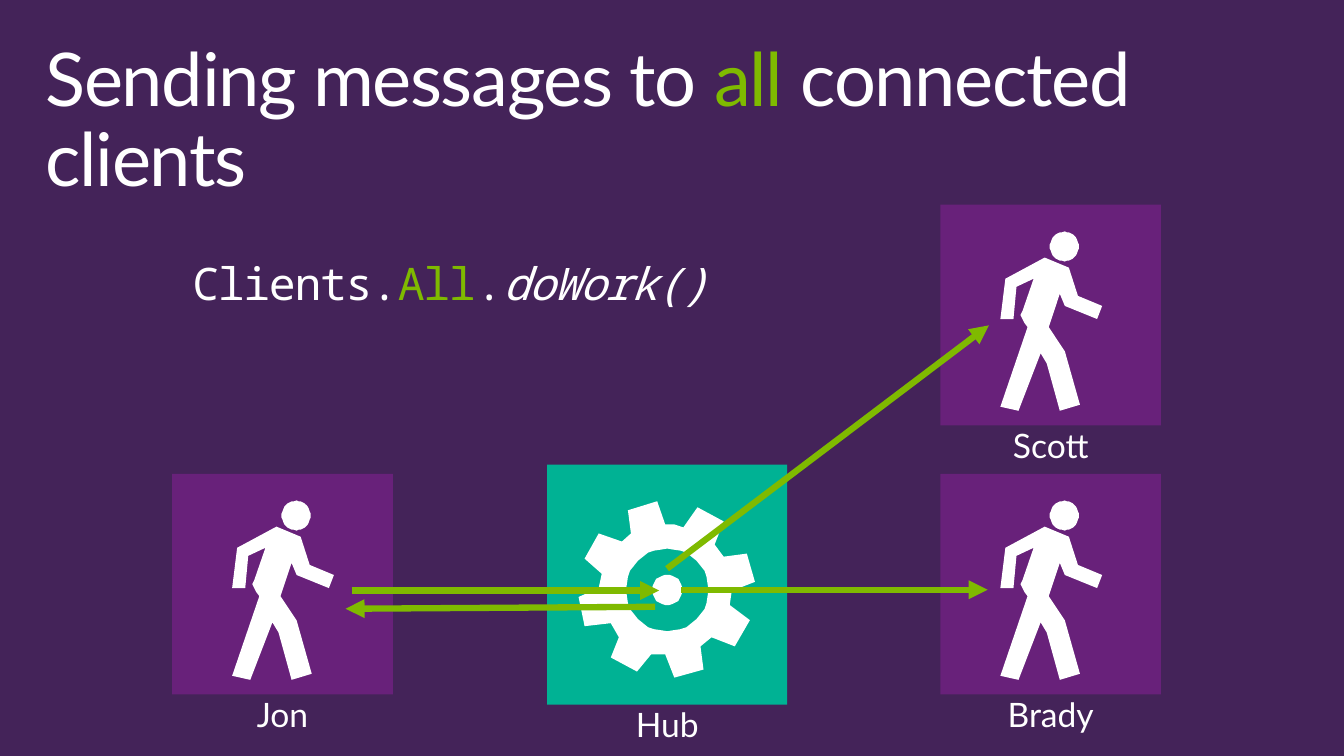
from math import cos, sin, tau
from lxml.etree import SubElement
from pptx import Presentation
from pptx.dml.color import RGBColor
from pptx.enum.shapes import MSO_CONNECTOR as Link, MSO_SHAPE as Shape
from pptx.enum.text import MSO_ANCHOR as Anchor, MSO_AUTO_SIZE as Fit, PP_ALIGN as Align
from pptx.oxml.ns import qn
from pptx.util import Cm, Pt

WHITE, GREEN, PURPLE, TEAL = "FFFFFF", "7FBA00", "68217A", "00B294"


def paint(fill, color):
    fill.solid()
    fill.fore_color.rgb = RGBColor.from_string(color)


def write(frame, runs, size, font="Lato", align=Align.LEFT, line=0.9,
          pad=(0.41, 0.25), track=0):
    """Each run is its text, colour and italic flag."""
    frame.word_wrap, frame.auto_size = True, Fit.NONE
    frame.vertical_anchor = Anchor.TOP
    frame.margin_left = frame.margin_right = Cm(pad[0])
    frame.margin_top = frame.margin_bottom = Cm(pad[1])
    para = frame.paragraphs[0]
    para.alignment, para.line_spacing = align, line
    for words, color, slant in runs:
        run = para.add_run()
        run.text = words
        run.font.size, run.font.name = Pt(size), font
        run.font.bold, run.font.italic = False, slant
        paint(run.font.fill, color)
        if track:
            run.font._element.set("spc", str(track))


deck = Presentation()
deck.slide_width, deck.slide_height = Cm(33.87), Cm(19.05)
slide = deck.slides.add_slide(deck.slide_layouts[5])
paint(slide.background.fill, "442359")

# Title
title = slide.shapes.title
title.left, title.top, title.width, title.height = Cm(0.74), Cm(0.81), Cm(32.39), Cm(2.49)
write(title.text_frame, [("Sending messages to ", WHITE, False), ("all", GREEN, False),
                         (" connected clients", WHITE, False)], 52.9, track=-100)

# Icon outlines, in hundredths of an inch
unit = Cm(2.54) / 100
body = [(44, 26), (5, 47), (0, 87), (13, 87), (16, 55), (33, 47), (22, 79), (20, 83),
        (24, 91), (27, 95), (0, 174), (18, 178), (40, 121), (46, 131), (59, 178),
        (79, 172), (64, 119), (48, 95), (59, 62), (64, 74), (96, 87), (101, 74),
        (77, 64), (68, 36)]
gear = [(175, 80), (167, 52), (144, 55), (135, 43), (144, 20), (118, 6), (104, 26),
        (95, 23), (86, 23), (78, 0), (49, 9), (52, 32), (43, 40), (20, 32), (6, 57),
        (23, 72), (20, 86), (0, 95), (6, 124), (32, 121), (40, 135), (32, 155),
        (58, 169), (72, 152), (86, 152), (95, 175), (124, 167), (121, 144),
        (132, 135), (155, 144), (170, 118), (150, 103), (152, 89)]
head, hole, dot = [
    [(x + r * cos(tau * i / 40), y + r * sin(tau * i / 40)) for i in range(40)]
    for x, y, r in [(63.5, 15, 14.5), (88, 88, 41), (88, 88, 15)]]
walker = [body, head], 1.51, 0.67
cog = [gear, hole, dot], 0.79, 0.92

# Tiles, each with a label and an icon
for name, x, y, side, color, (loops, dx, dy) in [
        ("Jon", 4.34, 11.94, 5.56, PURPLE, walker),
        ("Scott", 23.7, 5.16, 5.56, PURPLE, walker),
        ("Brady", 23.7, 11.94, 5.56, PURPLE, walker),
        ("Hub", 13.79, 11.71, 6.05, TEAL, cog)]:
    group = slide.shapes.add_group_shape().shapes
    tile = group.add_shape(Shape.RECTANGLE, Cm(x), Cm(y), Cm(side), Cm(side))
    label = group.add_textbox(Cm(x + 0.32), Cm(y + side - 0.15), Cm(side - 0.64), Cm(1.45))
    write(label.text_frame, [(name, WHITE, False)], 24, align=Align.CENTER)
    pen = group.build_freeform(*loops[0][0], scale=unit)
    pen.add_line_segments(loops[0][1:])
    for loop in loops[1:]:
        pen.move_to(*loop[0])
        pen.add_line_segments(loop[1:])
    icon = pen.convert_to_shape(Cm(x + dx), Cm(y + dy))
    for part, tint in [(tile, color), (icon, WHITE)]:
        paint(part.fill, tint)
        part.line.fill.background()
        part.shadow.inherit = False

# Code line
code = slide.shapes.add_textbox(Cm(4.34), Cm(6.32), Cm(14.02), Cm(2.74))
write(code.text_frame, [("Clients.", WHITE, False), ("All", GREEN, False),
                        (".", WHITE, False), ("doWork()", WHITE, True)], 32,
      font="Noto Sans Mono", align=Align.CENTER, line=1, pad=(0.25, 0.13), track=-100)

# Message arrows
for ends in [(8.86, 14.88, 16.61, 14.88), (16.51, 15.29, 8.71, 15.34),
             (17.17, 14.86, 24.89, 14.86), (16.81, 14.33, 24.92, 8.2)]:
    arrow = slide.shapes.add_connector(Link.STRAIGHT, *map(Cm, ends))
    arrow.line.width = Pt(4.5)
    paint(arrow.line.fill, GREEN)
    SubElement(arrow.line._get_or_add_ln(), qn("a:tailEnd"), type="triangle")
    SubElement(arrow._element.spPr, qn("a:effectLst"))

deck.save("out.pptx")
